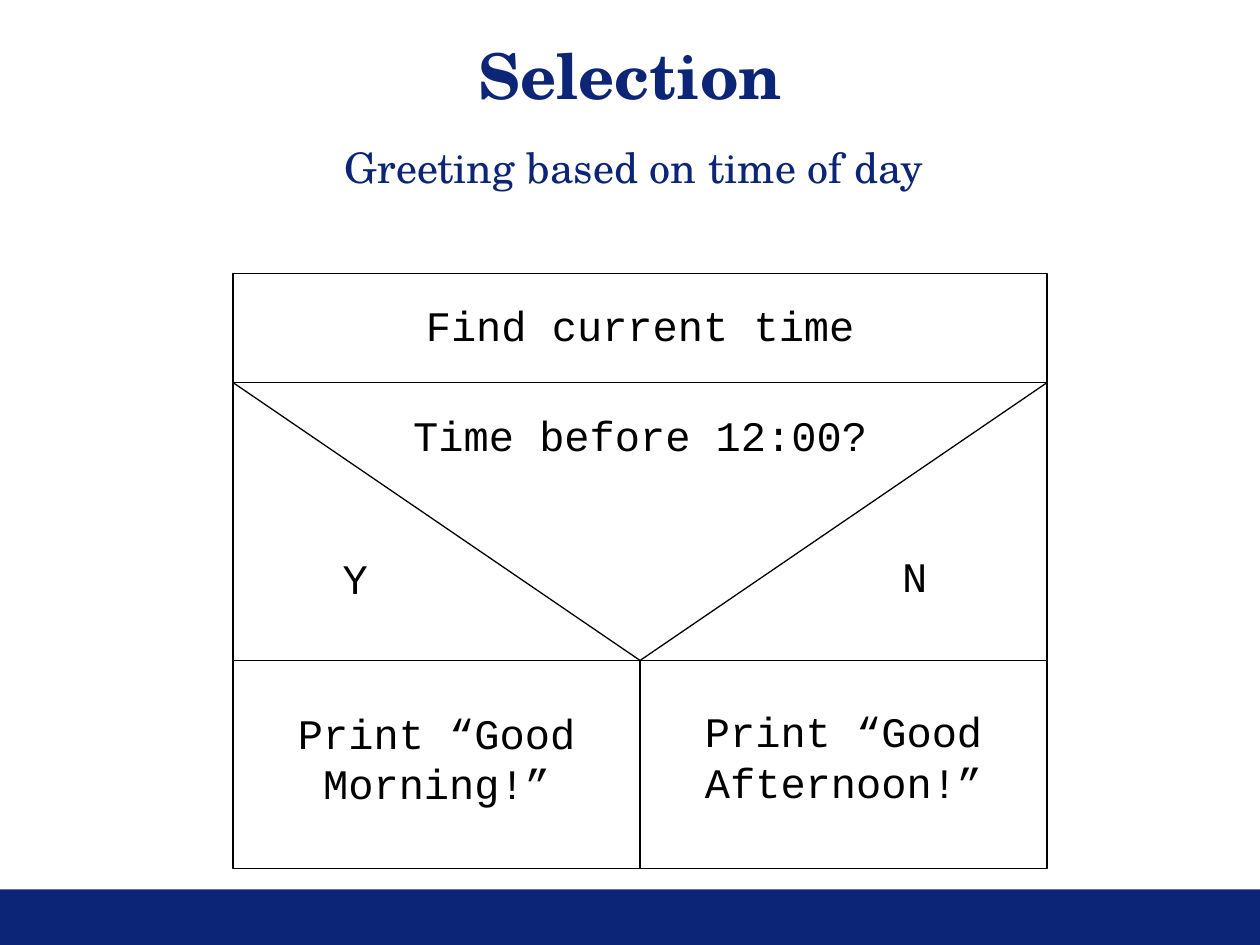
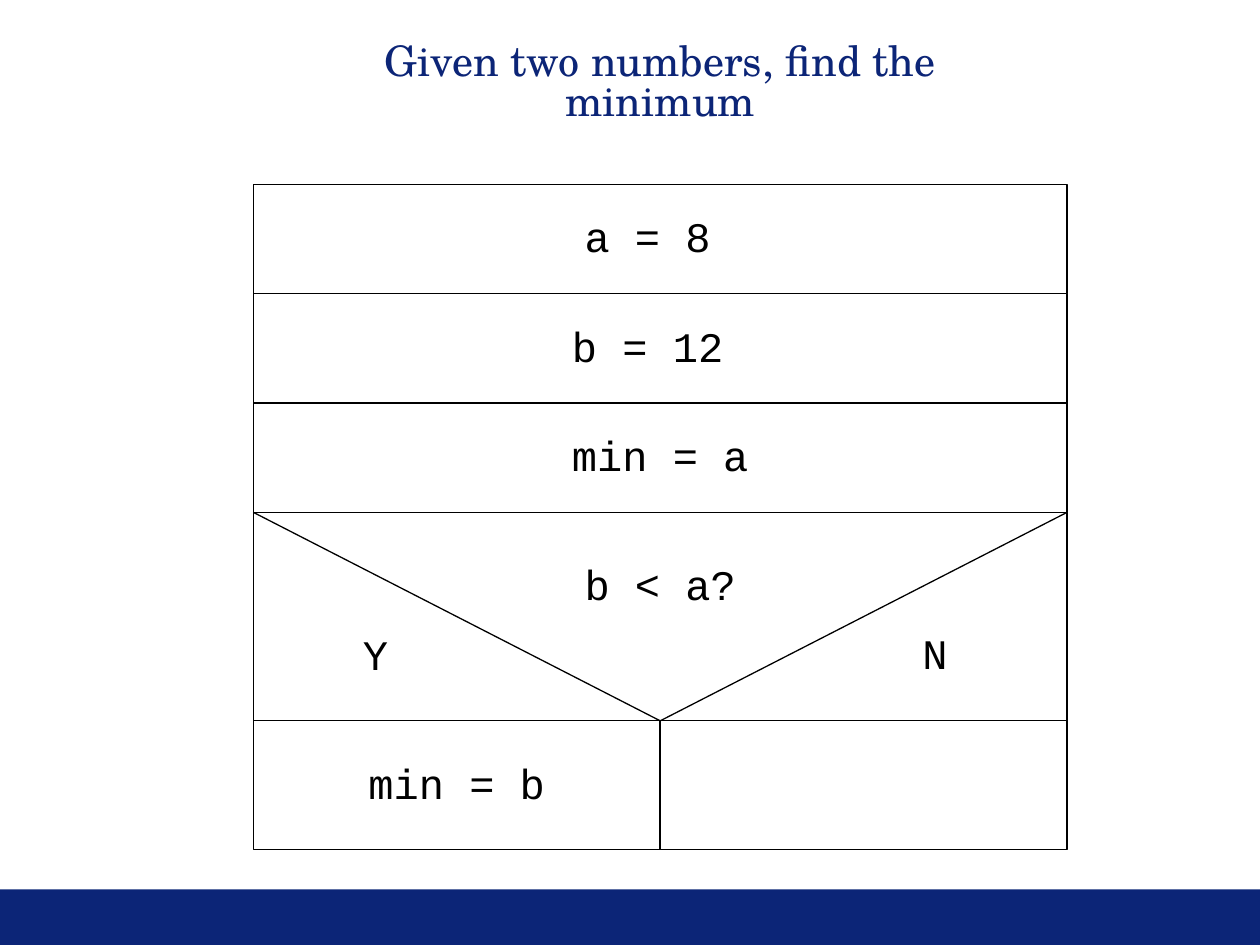
from dataclasses import dataclass

from lxml.etree import SubElement
from pptx import Presentation
from pptx.dml.color import RGBColor
from pptx.enum.shapes import MSO_CONNECTOR, MSO_SHAPE
from pptx.enum.text import MSO_ANCHOR, MSO_AUTO_SIZE, PP_ALIGN
from pptx.oxml.ns import qn
from pptx.presentation import Presentation as Deck
from pptx.shapes.autoshape import Shape
from pptx.slide import Slide
from pptx.util import Inches, Pt

NAVY = RGBColor(0x0C, 0x25, 0x77)
BLACK = RGBColor(0, 0, 0)
HEADING_FONT = "TeX Gyre Schola"
CODE_FONT = "Courier New"

# The grid has 100 columns and 75 rows of equal size; all lengths count them.
COLUMNS, ROWS = 100, 75
SLIDE_WIDTH, SLIDE_HEIGHT = Inches(10), Inches(7.5)
FOOTER_HEIGHT = 4.4

CHART_WIDTH = 64.6
STEP_HEIGHT = 8.67
STEP_TEXT_OFFSET = 1.6
LINE_TEXT_HEIGHT = 5.1
ANSWER_WIDTH = 20
ANSWER_OFFSETS = {"Y": (-0.3, 0), "N": (44.1, -0.1)}


@dataclass(frozen=True)
class Area:
    left: float
    top: float
    width: float
    height: float


@dataclass(frozen=True)
class TextStyle:
    font: str
    size: int
    color: RGBColor
    bold: bool = False
    line_spacing: float = 1.0


@dataclass(frozen=True)
class Heading:
    text: str
    area: Area
    style: TextStyle


@dataclass(frozen=True)
class Branch:
    text: str
    text_offset: float = 0
    text_height: float = LINE_TEXT_HEIGHT


@dataclass(frozen=True)
class Structogram:
    left: float
    top: float
    steps: tuple[str, ...]
    question: str
    question_offset: float
    decision_height: float
    answer_offset: float
    branches: tuple[Branch, Branch]
    branch_height: float


CODE = TextStyle(CODE_FONT, 24, BLACK)
TITLE = TextStyle(HEADING_FONT, 36, NAVY, bold=True, line_spacing=0.8)
SUBTITLE = TextStyle(HEADING_FONT, 24, NAVY, line_spacing=0.8)

GREETING_HEADINGS = (
    Heading("Greeting based on time of day", Area(5, 11.5, 90.6, 4.2), SUBTITLE),
    Heading("Selection", Area(0, 3.6, COLUMNS, 5.9), TITLE),
)
GREETING = Structogram(
    left=18.5,
    top=21.7,
    steps=("Find current time",),
    question="Time before 12:00?",
    question_offset=1.6,
    decision_height=22.05,
    answer_offset=12.95,
    branches=(
        Branch("Print “Good Morning!”", 3.2, 9.1),
        Branch("Print “Good Afternoon!”", 3.1, 9.1),
    ),
    branch_height=16.5,
)

MINIMUM_HEADINGS = (
    Heading("Given two numbers, find the minimum", Area(27.4, 3, 50, 7.5), SUBTITLE),
)
# The trailing space of a step counts when the line is centred.
MINIMUM = Structogram(
    left=20.1,
    top=14.65,
    steps=("a = 8 ", "b = 12 ", "min = a"),
    question="b < a?",
    question_offset=3.2,
    decision_height=16.55,
    answer_offset=8.75,
    branches=(Branch("min = b", 2.4), Branch("")),
    branch_height=10.2,
)


def across(columns: float) -> int:
    return round(SLIDE_WIDTH * columns / COLUMNS)


def down(rows: float) -> int:
    return round(SLIDE_HEIGHT * rows / ROWS)


def place(area: Area) -> tuple[int, int, int, int]:
    return across(area.left), down(area.top), across(area.width), down(area.height)


def add_rectangle(slide: Slide, area: Area) -> Shape:
    shape = slide.shapes.add_shape(MSO_SHAPE.RECTANGLE, *place(area))
    shape.shadow.inherit = False
    return shape


def add_footer(slide: Slide) -> None:
    footer = add_rectangle(
        slide, Area(0, ROWS - FOOTER_HEIGHT, COLUMNS, FOOTER_HEIGHT)
    )
    footer.fill.solid()
    footer.fill.fore_color.rgb = NAVY
    footer.line.fill.background()


def add_frame(slide: Slide, area: Area) -> None:
    frame = add_rectangle(slide, area)
    frame.fill.background()
    frame.line.color.rgb = BLACK
    frame.line.width = Pt(0.75)


def add_diagonal(
    slide: Slide, start: tuple[float, float], end: tuple[float, float]
) -> None:
    connector = slide.shapes.add_connector(
        MSO_CONNECTOR.STRAIGHT,
        across(start[0]), down(start[1]), across(end[0]), down(end[1]),
    )
    connector.line.color.rgb = BLACK
    connector.line.width = Pt(0.75)
    SubElement(connector._element.spPr, qn("a:effectLst"))


def add_text(slide: Slide, text: str, area: Area, style: TextStyle) -> None:
    text_frame = slide.shapes.add_textbox(*place(area)).text_frame
    text_frame.word_wrap = True
    text_frame.auto_size = MSO_AUTO_SIZE.SHAPE_TO_FIT_TEXT
    text_frame.vertical_anchor = MSO_ANCHOR.TOP
    paragraph = text_frame.paragraphs[0]
    paragraph.alignment = PP_ALIGN.CENTER
    paragraph.line_spacing = style.line_spacing
    run = paragraph.add_run()
    run.text = text
    run.font.name = style.font
    run.font.size = Pt(style.size)
    run.font.bold = style.bold
    run.font.color.rgb = style.color


def add_cell(
    slide: Slide, area: Area, text: str, text_offset: float,
    text_height: float = LINE_TEXT_HEIGHT,
) -> None:
    """Draw a framed block; its text starts text_offset below the top edge."""
    add_frame(slide, area)
    if text:
        text_area = Area(area.left, area.top + text_offset, area.width, text_height)
        add_text(slide, text, text_area, CODE)


def add_decision(slide: Slide, chart: Structogram, top: float) -> None:
    area = Area(chart.left, top, CHART_WIDTH, chart.decision_height)
    add_cell(slide, area, chart.question, chart.question_offset)
    tip = (chart.left + CHART_WIDTH / 2, top + chart.decision_height)
    for corner in (chart.left, chart.left + CHART_WIDTH):
        add_diagonal(slide, (corner, top), tip)
    for answer, (shift_across, shift_down) in ANSWER_OFFSETS.items():
        answer_area = Area(
            chart.left + shift_across,
            top + chart.answer_offset + shift_down,
            ANSWER_WIDTH,
            LINE_TEXT_HEIGHT,
        )
        add_text(slide, answer, answer_area, CODE)


def add_structogram(slide: Slide, chart: Structogram) -> None:
    """Stack the steps, the decision and its two branches from top to bottom."""
    top = chart.top
    for step in chart.steps:
        area = Area(chart.left, top, CHART_WIDTH, STEP_HEIGHT)
        add_cell(slide, area, step, STEP_TEXT_OFFSET)
        top += STEP_HEIGHT
    add_decision(slide, chart, top)
    top += chart.decision_height
    branch_width = CHART_WIDTH / len(chart.branches)
    for index, branch in enumerate(chart.branches):
        left = chart.left + index * branch_width
        area = Area(left, top, branch_width, chart.branch_height)
        add_cell(slide, area, branch.text, branch.text_offset, branch.text_height)


def add_structogram_slide(
    presentation: Deck, headings: tuple[Heading, ...], chart: Structogram
) -> None:
    slide = presentation.slides.add_slide(presentation.slide_layouts[6])
    add_footer(slide)
    add_structogram(slide, chart)
    for heading in headings:
        add_text(slide, heading.text, heading.area, heading.style)


def main() -> None:
    presentation = Presentation()
    presentation.slide_width = SLIDE_WIDTH
    presentation.slide_height = SLIDE_HEIGHT
    add_structogram_slide(presentation, GREETING_HEADINGS, GREETING)
    add_structogram_slide(presentation, MINIMUM_HEADINGS, MINIMUM)
    presentation.save("out.pptx")


if __name__ == "__main__":
    main()
